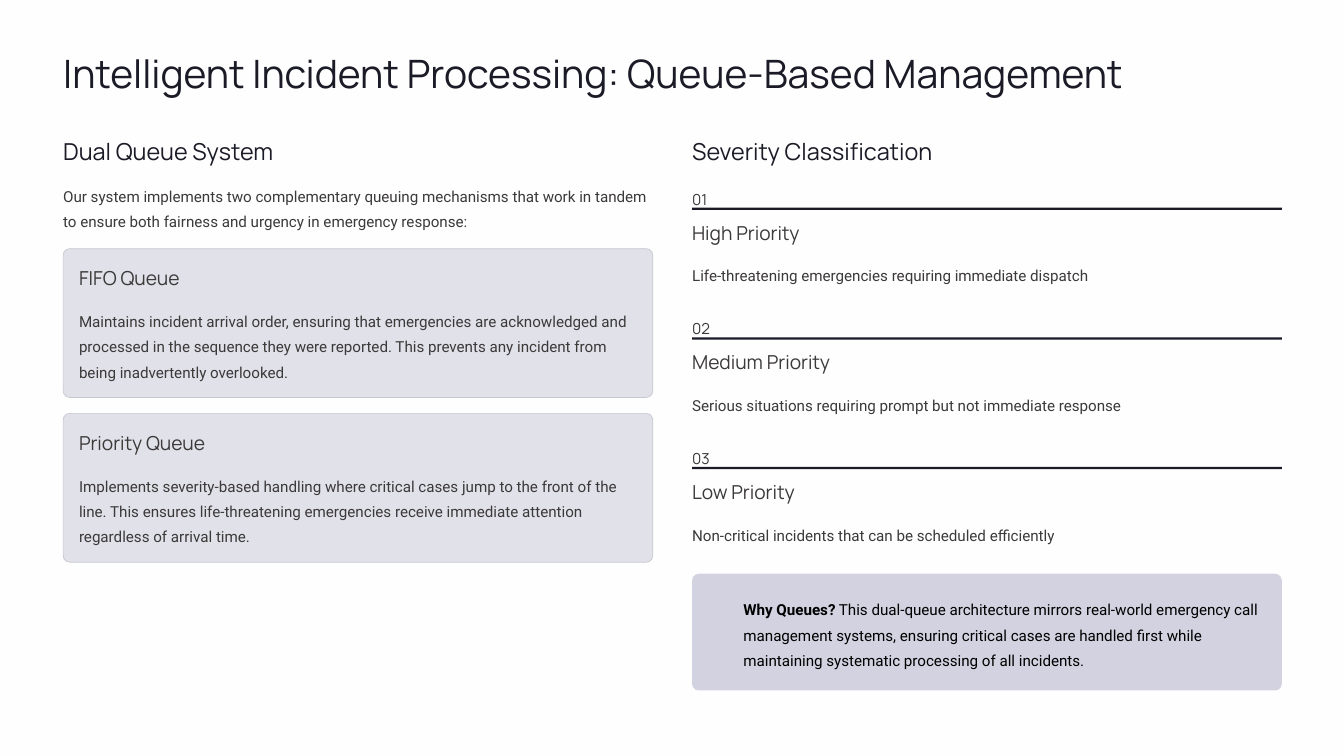
from pptx import Presentation
from pptx.dml.color import RGBColor
from pptx.enum.shapes import MSO_SHAPE
from pptx.enum.text import MSO_ANCHOR, MSO_AUTO_SIZE, PP_ALIGN
from pptx.util import Cm, Pt

RECT = MSO_SHAPE.RECTANGLE
ROUND = MSO_SHAPE.ROUNDED_RECTANGLE
TOP = MSO_ANCHOR.TOP
LEFT = PP_ALIGN.LEFT
FIXED = MSO_AUTO_SIZE.NONE

COLORS = {
    "page": "FEFEFE",
    "dark": "1B1B27",
    "text": "3C3939",
    "black": "000000",
    "card": "E1E1EA",
    "edge": "C7C7D0",
    "note": "D2D2E0",
}

# font, size, line spacing, colour
STYLES = {
    "title": ("Manrope", 33.5, 42, "dark"),
    "head": ("Manrope", 20, 25, "dark"),
    "name": ("Manrope", 16.5, 21, "text"),
    "count": ("Manrope", 13, 21.5, "text"),
    "body": ("Roboto", 13, 21.5, "text"),
    "note": ("Roboto", 13, 21.5, "black"),
}

COL1, COL2, WIDE = 1.91, 20.93, 17.83
CARD_TOP, CARD_STEP = 7.52, 4.98
LEVEL_TOP, LEVEL_STEP = 5.54, 3.92

CARDS = [
    ("FIFO Queue",
     "Maintains incident arrival order, ensuring that emergencies are "
     "acknowledged and processed in the sequence they were reported. "
     "This prevents any incident from being inadvertently overlooked."),
    ("Priority Queue",
     "Implements severity-based handling where critical cases jump to the "
     "front of the line. This ensures life-threatening emergencies receive "
     "immediate attention regardless of arrival time."),
]
LEVELS = [
    ("High Priority",
     "Life-threatening emergencies requiring immediate dispatch"),
    ("Medium Priority",
     "Serious situations requiring prompt but not immediate response"),
    ("Low Priority",
     "Non-critical incidents that can be scheduled efficiently"),
]


def color(key):
    return RGBColor.from_string(COLORS[key])


def write(shape, words, style, lead=""):
    """Fill a shape with one styled paragraph, after an optional bold lead."""
    frame = shape.text_frame
    frame.margin_left = frame.margin_right = 0
    frame.margin_top = frame.margin_bottom = 0
    frame.word_wrap = True
    frame.auto_size = FIXED
    frame.vertical_anchor = TOP
    para = frame.paragraphs[0]
    if lead:
        run = para.add_run()
        run.text = lead
        run.font.bold = True
    para.add_run().text = words
    face, size, space, tone = STYLES[style]
    para.alignment = LEFT
    para.line_spacing = Pt(space)
    para.font.name = face
    para.font.size = Pt(size)
    para.font.color.rgb = color(tone)


def add_text(slide, x, y, w, h, words, style, lead=""):
    box = slide.shapes.add_textbox(Cm(x), Cm(y), Cm(w), Cm(h))
    write(box, words, style, lead)


def add_panel(slide, kind, x, y, w, h, fill, edge=None, curve=None):
    panel = slide.shapes.add_shape(kind, Cm(x), Cm(y), Cm(w), Cm(h))
    panel.shadow.inherit = False
    panel.fill.solid()
    panel.fill.fore_color.rgb = color(fill)
    if edge:
        panel.line.color.rgb = color(edge)
        panel.line.width = Pt(0.6)
    else:
        panel.line.fill.background()
    if curve:
        panel.adjustments[0] = curve


def add_title(slide, words):
    title = slide.shapes.title
    title.left, title.top = Cm(COL1), Cm(1.42)
    title.width, title.height = Cm(36.8), Cm(1.5)
    write(title, words, "title")


def add_card(slide, y, name, body):
    add_panel(slide, ROUND, COL1, y, WIDE, 4.5, "card", "edge", 0.044)
    x = COL1 + 0.48
    add_text(slide, x, y + 0.5, 16.84, 0.74, name, "name")
    add_text(slide, x, y + 1.73, 16.84, 2.29, body, "body")


def add_level(slide, y, count, name, body):
    add_text(slide, COL2, y, 2, 0.58, count, "count")
    add_panel(slide, RECT, COL2, y + 0.74, WIDE, 0.07, "dark")
    add_text(slide, COL2, y + 1.1, WIDE, 0.74, name, "name")
    add_text(slide, COL2, y + 2.32, WIDE, 0.76, body, "body")


def add_note(slide, lead, words):
    add_panel(slide, ROUND, COL2, 17.35, WIDE, 3.53, "note", curve=0.056)
    add_text(slide, 22.48, 17.96, 15.82, 2.29, words, "note", lead)


def main():
    deck = Presentation()
    deck.slide_width, deck.slide_height = Cm(40.64), Cm(22.86)
    slide = deck.slides.add_slide(deck.slide_layouts[5])
    slide.background.fill.solid()
    slide.background.fill.fore_color.rgb = color("page")

    add_title(slide, "Intelligent Incident Processing: Queue-Based Management")

    add_text(slide, COL1, 4.11, WIDE, 0.89, "Dual Queue System", "head")
    add_text(slide, COL1, 5.46, WIDE, 1.52,
             "Our system implements two complementary queuing mechanisms that "
             "work in tandem to ensure both fairness and urgency in emergency "
             "response:", "body")
    for i, (name, body) in enumerate(CARDS):
        add_card(slide, CARD_TOP + i * CARD_STEP, name, body)

    add_text(slide, COL2, 4.11, WIDE, 0.89, "Severity Classification", "head")
    for i, (name, body) in enumerate(LEVELS):
        y = LEVEL_TOP + i * LEVEL_STEP
        add_level(slide, y, f"{i + 1:02}", name, body)
    add_note(slide, "Why Queues?",
             " This dual-queue architecture mirrors real-world emergency call "
             "management systems, ensuring critical cases are handled first "
             "while maintaining systematic processing of all incidents.")

    deck.save("out.pptx")


if __name__ == "__main__":
    main()
